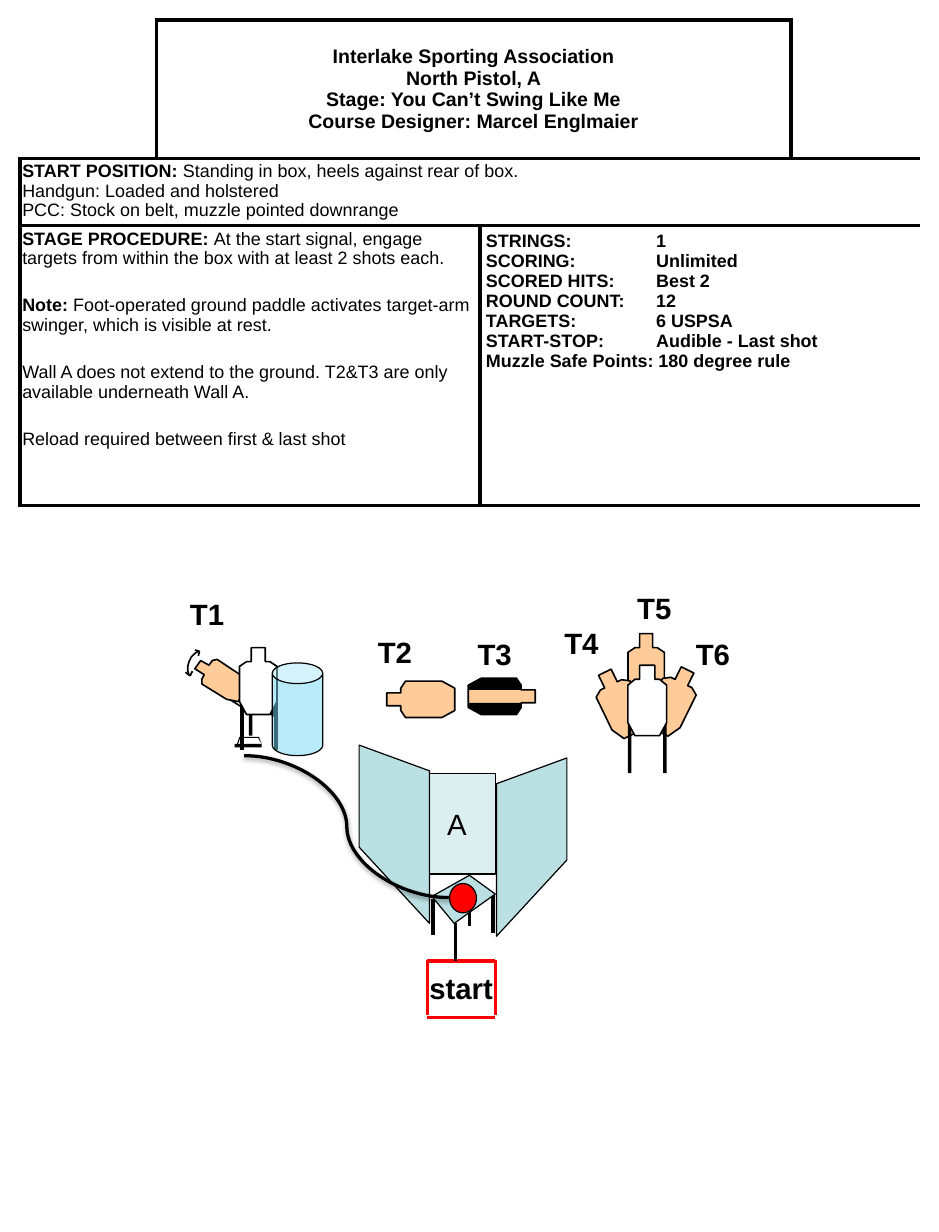
import pptx
import pptx.util
import pptx.dml.color
import pptx.enum.shapes
import pptx.enum.text
import pptx.oxml
import pptx.oxml.ns
from lxml import etree

PX = 9144  # EMU in one px, 100 px to the inch
FONT = "Arial"
COLORS = {"black": "000000", "white": "FFFFFF", "tan": "FFCC99", "red": "FF0000",
          "wall": "BBE0E3", "barrel": "73D9F1"}
SHAPE = pptx.enum.shapes.MSO_SHAPE
CONNECTOR = pptx.enum.shapes.MSO_CONNECTOR
ALIGN = pptx.enum.text.PP_ALIGN
ANCHOR = pptx.enum.text.MSO_ANCHOR

# Paragraphs are lists of (text, bold) runs.
TITLE = [[(t, True)] for t in (
    "Interlake Sporting Association", "North Pistol, A",
    "Stage: You Can’t Swing Like Me", "Course Designer: Marcel Englmaier")]
START_POSITION = [
    [("START POSITION: ", True), ("Standing in box, heels against rear of box.", False)],
    [("Handgun: Loaded and holstered", False)],
    [("PCC: Stock on belt, muzzle pointed downrange", False)]]
PROCEDURE = [
    [("STAGE PROCEDURE: ", True),
     ("At the start signal, engage targets from within the box with at least 2 shots each.", False)],
    [("Note: ", True),
     ("Foot-operated ground paddle activates target-arm swinger, which is visible at rest.", False)],
    [("Wall A does not extend to the ground. T2&T3 are only available underneath Wall A.", False)],
    [("Reload required between first & last shot", False)]]
SCORING = [[(t, True)] for t in (
    "STRINGS:\t1", "SCORING:\tUnlimited", "SCORED HITS:\tBest 2", "ROUND COUNT:\t12",
    "TARGETS:\t6 USPSA", "START-STOP:\tAudible - Last shot",
    "Muzzle Safe Points: 180 degree rule")]

COLUMNS = [116, 276, 265, 110]
ROWS = [118, 57, 239]
# Sides drawn on each cell: L, R, T, B
BORDERS = [["RB", "LTB", "RTB", "LB"],
           ["LTB", "TB", "TB", "RTB"],
           ["LTB", "RTB", "LTB", "RTB"]]
# first cell, last cell, paragraphs, size, margins x and y, extra format
CELLS = [
    ((0, 1), (0, 2), TITLE, 12, (5, 5), {"align": ALIGN.CENTER}),
    ((1, 0), (1, 3), START_POSITION, 11, (2, 4), {"before": 1.1, "spacing": 0.9}),
    ((2, 0), (2, 1), PROCEDURE, 11, (2, 3), {"before": 16.5}),
    ((2, 2), (2, 3), SCORING, 11, (5, 5), {"tab": 145})]

LABELS = [("T1", 152, 503), ("T2", 312, 536), ("T3", 397, 537),
          ("T4", 471, 528), ("T5", 533, 498), ("T6", 583, 537)]

TARGET = [(10, 0), (22, 0), (22, 12), (26, 12), (32, 16), (32, 47), (26, 58),
          (6, 58), (0, 47), (0, 16), (6, 12), (10, 12)]
T3_STRIP = [(444, 599), (399, 599), (399, 603), (410, 609), (440, 609), (444, 603)]
T3_AXIS = 1187  # sum of the y of mirrored points
SWINGER = [(171, 563), (166, 570), (174, 575), (172, 579), (172, 583), (193, 596),
           (203, 598), (211, 585), (206, 576), (185, 562), (181, 563), (178, 567)]
SWING_ARC = [(169, 555), (166, 557), (163, 560), (161, 564), (160, 568),
             (160, 572), (161, 575)]
SWING_TIPS = [(170, 555, 169, 559), (170, 555, 166, 554),
              (162, 576, 164, 572), (162, 576, 158, 573)]
ARMS_BEHIND = [[(187, 565), (218, 585), (219, 584), (188, 564)],
               [(175, 584), (207, 604), (208, 603), (176, 583)]]
ARMS_FRONT = [[(219, 584), (207, 604), (205, 603), (217, 583)],
              [(212, 594), (233, 608), (234, 607), (213, 593)],
              [(236, 606), (233, 611), (229, 608), (232, 603)]]
STAND_BARS = [(212, 598, 3, 29), (200, 634, 23, 3), (205, 628, 16, 1)]
STAND_FEET = [[(205, 628), (203, 634), (202, 634), (204, 628)],
              [(220, 629), (223, 634), (223, 634), (221, 629)]]
TABLE_TOP = [(368, 764), (387, 787), (422, 762), (400, 746)]
WALLS = [[(483, 733), (423, 798), (423, 668), (483, 646)],
         [(306, 722), (366, 787), (366, 657), (306, 635)]]
WALL_A = [(422, 745), (366, 745), (366, 659), (422, 659)]


def rgb(name):
    return pptx.dml.color.RGBColor.from_string(COLORS[name])


def write(tf, pars, size, align=ALIGN.LEFT, before=0, spacing=None, tab=None):
    for i, runs in enumerate(pars):
        p = tf.paragraphs[0] if i == 0 else tf.add_paragraph()
        p.alignment = align
        if spacing:
            p.line_spacing = spacing
        if before and i:
            p.space_before = pptx.util.Pt(before)
        if tab:
            tabs = pptx.oxml.ns.qn("a:tabLst")
            stops = etree.SubElement(p._p.get_or_add_pPr(), tabs)
            etree.SubElement(stops, pptx.oxml.ns.qn("a:tab"), pos=str(tab * PX), algn="l")
        for text, bold in runs:
            r = p.add_run()
            r.text = text
            r.font.name, r.font.size, r.font.bold = FONT, pptx.util.Pt(size), bold
            r.font.color.rgb = rgb("black")


def border(cell, sides):
    tcPr = cell._tc.get_or_add_tcPr()
    for i, side in enumerate("LRTB"):
        fill = (f'<a:solidFill><a:srgbClr val="{COLORS["black"]}"/></a:solidFill>'
                if side in sides else "<a:noFill/>")
        tcPr.insert(i, pptx.oxml.parse_xml(
            f'<a:ln{side} {pptx.oxml.ns.nsdecls("a")} w="28575">{fill}</a:ln{side}>'))


def style(sp, fill, width, alpha=None):
    sp.shadow.inherit = False
    if fill:
        sp.fill.solid()
        sp.fill.fore_color.rgb = rgb(fill)
    else:
        sp.fill.background()
    if alpha:
        clr = sp._element.spPr.find(".//" + pptx.oxml.ns.qn("a:srgbClr"))
        etree.SubElement(clr, pptx.oxml.ns.qn("a:alpha"), val=str(alpha * 1000))
    if width:
        sp.line.color.rgb = rgb("black")
        sp.line.width = pptx.util.Pt(width)
    else:
        sp.line.fill.background()
    return sp


def outline(points, fill="black", width=0, alpha=None, close=True):
    fb = shapes.build_freeform(*points[0], scale=PX)
    fb.add_line_segments(points[1:], close=close)
    return style(fb.convert_to_shape(), fill, width, alpha)


def target(x, y, w=32, h=58, fill="tan", turn=0):
    sp = outline([(round(x + a * w / 32), round(y + b * h / 58)) for a, b in TARGET], fill, 1)
    sp.rotation = turn


def preset(kind, x, y, w, h, fill="black", width=0, alpha=None):
    return style(shapes.add_shape(kind, x * PX, y * PX, w * PX, h * PX), fill, width, alpha)


def line(x1, y1, x2, y2, width=2, color="black", kind=CONNECTOR.STRAIGHT):
    """Draw a connector and return its effect list."""
    c = shapes.add_connector(kind, x1 * PX, y1 * PX, x2 * PX, y2 * PX)
    c.line.color.rgb = rgb(color)
    c.line.width = pptx.util.Pt(width)
    return etree.SubElement(c._element.spPr, pptx.oxml.ns.qn("a:effectLst"))


def label(text, x, y, w=58):
    tf = shapes.add_textbox(x * PX, y * PX, w * PX, 40 * PX).text_frame
    tf.word_wrap = False
    write(tf, [[(text, True)]], 18)


prs = pptx.Presentation()
prs.slide_width, prs.slide_height = 800 * PX, 1050 * PX
shapes = prs.slides.add_slide(prs.slide_layouts[6]).shapes

# Stage briefing
table = shapes.add_table(3, 4, 17 * PX, 17 * PX, sum(COLUMNS) * PX, sum(ROWS) * PX).table
table.first_row = table.horz_banding = False
for i, w in enumerate(COLUMNS):
    table.columns[i].width = w * PX
for i, h in enumerate(ROWS):
    table.rows[i].height = h * PX
    for j, sides in enumerate(BORDERS[i]):
        cell = table.cell(i, j)
        cell.fill.solid()
        cell.fill.fore_color.rgb = rgb("white")
        border(cell, sides)
for first, last, pars, size, (mx, my), extra in CELLS:
    cell = table.cell(*first)
    cell.merge(table.cell(*last))
    cell.margin_left = cell.margin_right = mx * PX
    cell.margin_top = cell.margin_bottom = my * PX
    cell.vertical_anchor = ANCHOR.MIDDLE if pars is TITLE else ANCHOR.TOP
    write(cell.text_frame, pars, size, **extra)

for text, x, y in LABELS:
    label(text, x, y)

# Start box
for y in (819, 867):
    line(422, y, 364, y, color="red")
for x in (422, 364):
    line(x, 818, x, 865, color="red")
label("start", 356, 822, 86)

# T3 with its hard cover
target(412, 565, 31, 57, turn=90)
outline(T3_STRIP)
outline([(x, T3_AXIS - y) for x, y in T3_STRIP])

# T1: swinger, cover and barrel
for bar in STAND_BARS:
    preset(SHAPE.RECTANGLE, *bar)
for points in STAND_FEET + ARMS_BEHIND:
    outline(points)
outline(SWINGER, "tan", 1)
for points in ARMS_FRONT:
    outline(points)
outline(SWING_ARC, None, 1, close=False)
for tip in SWING_TIPS:
    line(*tip, width=1)
for x in (206, 235):
    line(x, 595, x, 639, 2.25)
target(204, 552, h=57, fill="white")
can = preset(SHAPE.CAN, 232, 565, 43, 79, "barrel", 0.75, 50)
can.adjustments[0] = 0.41

# Activator table
line(420, 763, 420, 795)
line(400, 750, 400, 789)
outline(TABLE_TOP, "wall", 0.75)
line(388, 787, 388, 819)
line(369, 766, 369, 797)
preset(SHAPE.OVAL, 383, 753, 23, 25, "red", 0.75)

# T4 to T6 behind a no-shoot
target(535, 540, 31)
target(512, 570, turn=334.1)
target(557, 568, turn=26.2)
for x in (565, 535):
    preset(SHAPE.RECTANGLE, x, 583, 3, 76)
target(535, 567, 33, 60, "white")

target(343, 567, 31, turn=270)  # T2

# Walls and the activator cable
for points in WALLS:
    outline(points, "wall", 0.75)
effects = line(208, 644, 383, 765, kind=CONNECTOR.CURVE)
effects.append(pptx.oxml.parse_xml(
    f'<a:outerShdw {pptx.oxml.ns.nsdecls("a")} blurRad="39370" dist="20320" dir="5400000" '
    f'rotWithShape="0"><a:srgbClr val="{COLORS["black"]}"><a:alpha val="38000"/></a:srgbClr>'
    '</a:outerShdw>'))
tf = outline(WALL_A, "wall", 0.75, 50).text_frame
tf.word_wrap = False
tf.vertical_anchor = ANCHOR.MIDDLE
tf.margin_left = 15 * PX
write(tf, [[("A", False)]], 18)

prs.save("out.pptx")
